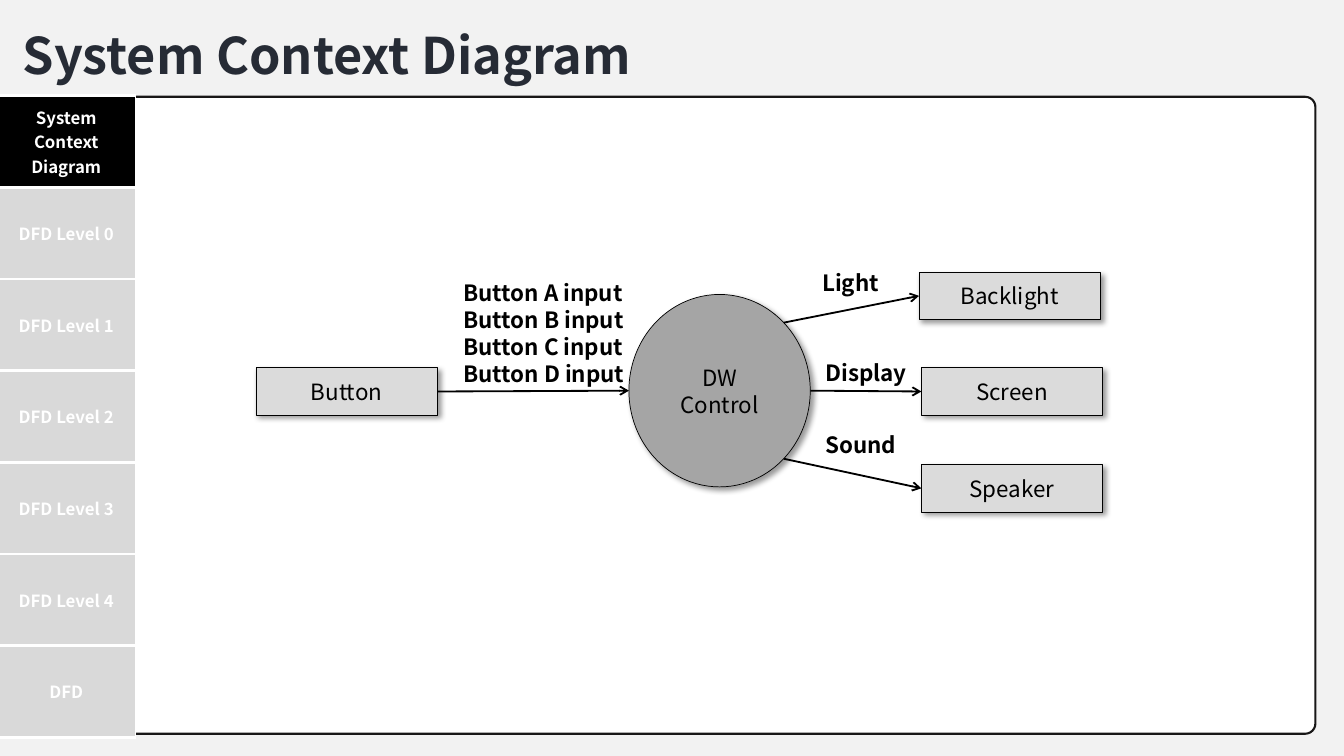
"""Build the system context diagram slide with its section navigation."""
from dataclasses import dataclass
from math import cos, radians, sin

from lxml.etree import SubElement
from pptx import Presentation
from pptx.dml.color import RGBColor
from pptx.enum.shapes import MSO_CONNECTOR, MSO_SHAPE
from pptx.enum.text import MSO_ANCHOR, MSO_AUTO_SIZE, PP_ALIGN
from pptx.oxml import parse_xml
from pptx.oxml.ns import nsdecls, qn
from pptx.util import Cm, Pt

FONT = "Noto Sans CJK KR"
BOX_W, BOX_H = 4.57, 1.19
ROW_H = 2.31
LEFT, CENTER = PP_ALIGN.LEFT, PP_ALIGN.CENTER


@dataclass
class Node:
    text: str
    x: float
    y: float
    w: float = BOX_W
    h: float = BOX_H
    fill: str = "DBDBDB"
    kind: MSO_SHAPE = MSO_SHAPE.RECTANGLE

    @property
    def mid_y(self) -> float:
        return self.y + self.h / 2

    def rim(self, degrees: float) -> tuple[float, float]:
        a = radians(degrees)
        return (self.x + self.w / 2 * (1 + cos(a)),
                self.mid_y + self.h / 2 * sin(a))


@dataclass
class Label:
    text: str
    x: float
    y: float
    h: float = 0.94


BUTTON = Node("Button", 6.45, 9.27)
CONTROL = Node("DW\nControl", 15.85, 7.42, h=4.85, fill="A5A5A5",
               kind=MSO_SHAPE.OVAL)
OUTPUTS = [Node("Backlight", 23.16, 6.86), Node("Screen", 23.22, 9.27),
           Node("Speaker", 23.22, 11.71)]
LABELS = [
    Label("\n".join(f"Button {c} input" for c in "ABCD"), 11.43, 6.91, 3),
    Label("Light", 20.47, 6.65),
    Label("Display", 20.55, 8.92),
    Label("Sound", 20.55, 10.74),
]
SECTIONS = ["System Context Diagram",
            *(f"DFD Level {n}" for n in range(5)), "DFD"]


def rgb(color: str) -> RGBColor:
    return RGBColor.from_string(color)


def write(tf, text: str, size: float, color: str = "000000",
          bold: bool = False, align: PP_ALIGN = LEFT) -> None:
    tf.text = text
    for p in tf.paragraphs:
        p.alignment = align
        p.font.name = FONT
        p.font.size = Pt(size)
        p.font.bold = bold
        p.font.color.rgb = rgb(color)


def add_box(s, kind: MSO_SHAPE, x: float, y: float, w: float, h: float,
            fill: str, line: str, width: float):
    sp = s.shapes.add_shape(kind, Cm(x), Cm(y), Cm(w), Cm(h))
    sp.shadow.inherit = False
    sp.fill.solid()
    sp.fill.fore_color.rgb = rgb(fill)
    sp.line.color.rgb = rgb(line)
    sp.line.width = Pt(width)
    return sp


def add_node(s, node: Node) -> None:
    sp = add_box(s, node.kind, node.x, node.y, node.w, node.h,
                 node.fill, "000000", 0.5)
    effects = sp._element.spPr.find(qn("a:effectLst"))
    effects.append(parse_xml(
        f'<a:outerShdw {nsdecls("a")} blurRad="{Pt(4)}" dist="{Pt(3)}" '
        'dir="2700000" algn="tl" rotWithShape="0"><a:srgbClr val="000000">'
        '<a:alpha val="40000"/></a:srgbClr></a:outerShdw>'))
    sp.text_frame.vertical_anchor = MSO_ANCHOR.MIDDLE
    write(sp.text_frame, node.text, 16, align=CENTER)


def add_arrow(s, start: tuple[float, float], end: tuple[float, float]) -> None:
    cxn = s.shapes.add_connector(MSO_CONNECTOR.STRAIGHT,
                                 *(Cm(v) for v in (*start, *end)))
    cxn.line.color.rgb = rgb("000000")
    cxn.line.width = Pt(1.3)
    SubElement(cxn.line._get_or_add_ln(), qn("a:tailEnd"), type="arrow")
    SubElement(cxn._element.spPr, qn("a:effectLst"))


def add_text(s, x: float, y: float, w: float, h: float, text: str,
             size: float, color: str = "000000"):
    tf = s.shapes.add_textbox(Cm(x), Cm(y), Cm(w), Cm(h)).text_frame
    tf.word_wrap = True
    tf.auto_size = MSO_AUTO_SIZE.SHAPE_TO_FIT_TEXT
    write(tf, text, size, color, bold=True)
    return tf


def add_navigation(s) -> None:
    table = s.shapes.add_table(len(SECTIONS), 1, Cm(-0.08), Cm(2.41), Cm(3.5),
                               Cm(ROW_H * len(SECTIONS))).table
    table.first_row = table.horz_banding = False
    for i, section in enumerate(SECTIONS):
        table.rows[i].height = Cm(ROW_H)
        cell = table.cell(i, 0)
        cell.vertical_anchor = MSO_ANCHOR.MIDDLE
        cell.fill.solid()
        cell.fill.fore_color.rgb = rgb("D9D9D9" if i else "000000")
        write(cell.text_frame, section, 12, "FFFFFF", True, CENTER)
        for edge in ("lnB", "lnT"):
            cell._tc.get_or_add_tcPr().insert(0, parse_xml(
                f'<a:{edge} {nsdecls("a")} w="{Pt(2.25)}"><a:solidFill>'
                f'<a:srgbClr val="FFFFFF"/></a:solidFill></a:{edge}>'))


def main() -> None:
    prs = Presentation()
    prs.slide_width, prs.slide_height = Cm(33.87), Cm(19.05)
    s = prs.slides.add_slide(prs.slide_layouts[6])
    s.background.fill.solid()
    s.background.fill.fore_color.rgb = rgb("F2F2F2")

    panel = add_box(s, MSO_SHAPE.ROUNDED_RECTANGLE, 0.97, 2.44, 32.18, 16.05,
                    "FFFFFF", "181717", 1.5)
    panel.adjustments[0] = 0.016
    title = add_text(s, 0.03, -0.3, 33.86, 2.57, "System Context Diagram",
                     36, "262B35")
    title.margin_left = Cm(0.54)
    title.vertical_anchor = MSO_ANCHOR.MIDDLE
    title.paragraphs[0].line_spacing = 1.5

    for node in (BUTTON, CONTROL, *OUTPUTS):
        add_node(s, node)
    add_arrow(s, (BUTTON.x + BUTTON.w, BUTTON.mid_y), CONTROL.rim(180))
    for degrees, node in zip((-45, 0, 45), OUTPUTS):
        add_arrow(s, CONTROL.rim(degrees), (node.x, node.mid_y))
    add_navigation(s)
    for label in LABELS:
        add_text(s, label.x, label.y, BOX_W, label.h, label.text, 16)
    prs.save("out.pptx")


if __name__ == "__main__":
    main()
